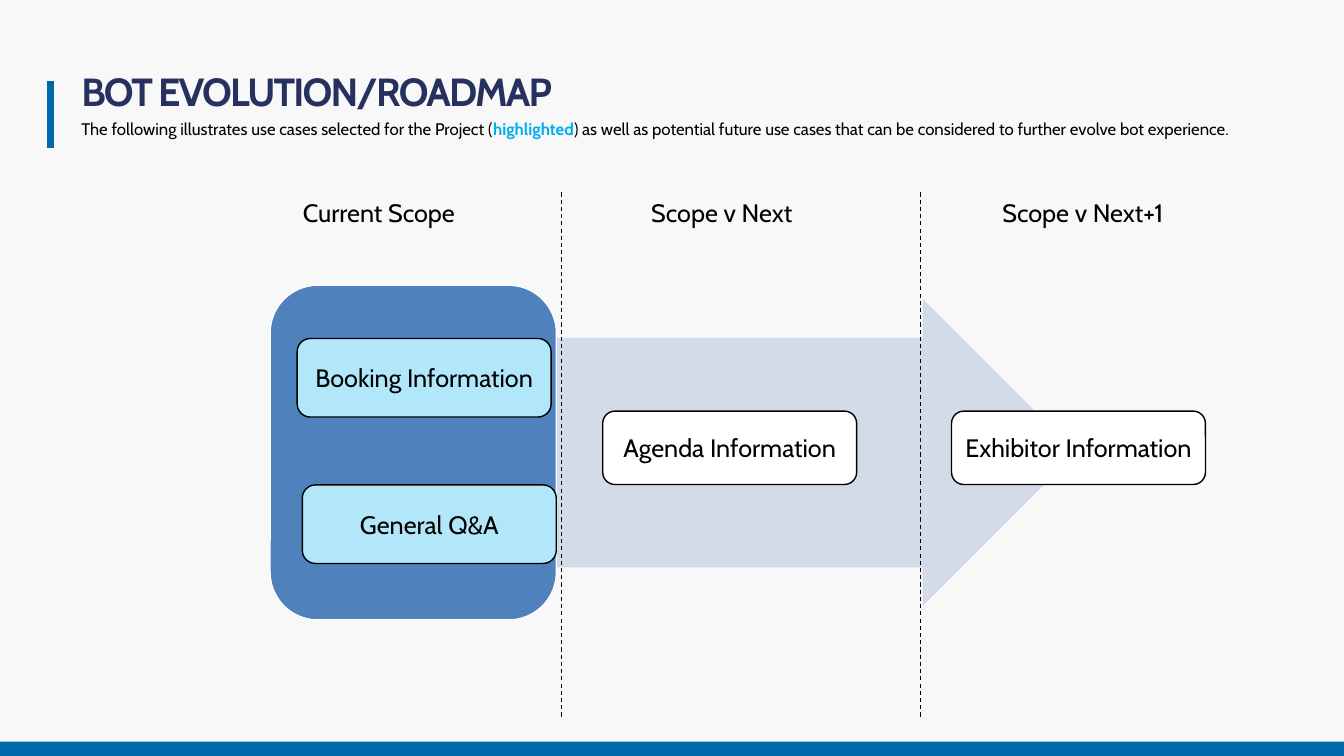
from dataclasses import dataclass

from lxml import etree
from pptx import Presentation
from pptx import util as u
from pptx.dml.color import RGBColor
from pptx.enum import dml, shapes, text
from pptx.oxml import ns


@dataclass(frozen=True)
class Theme:
    font: str = "Cabin"
    background: str = "F8F8F8"
    brand: str = "0069AA"
    title: str = "273160"
    ink: str = "000000"
    highlight: str = "00AEEF"
    arrow: str = "D0D8E8"
    panel: str = "4F81BD"
    selected: str = "B2E7FA"
    white: str = "FFFFFF"
    title_size: float = 28
    label_size: float = 18
    body_size: float = 12


@dataclass(frozen=True)
class Box:
    left: float
    top: float
    width: float
    height: float

    def inner(self, left, top, width, height):
        return Box(self.left + left, self.top + top, width, height)

    def lengths(self):
        return [u.Cm(value) for value in (self.left, self.top, self.width, self.height)]


THEME = Theme()


def rgb(color):
    return RGBColor.from_string(color)


def add_run(paragraph, words, size, color=THEME.ink, bold=False):
    run = paragraph.add_run()
    run.text = words
    run.font.name = THEME.font
    run.font.size = u.Pt(size)
    run.font.bold = bold
    run.font.color.rgb = rgb(color)
    return run


def add_text(slide, box, wrap=True):
    shape = slide.shapes.add_textbox(*box.lengths())
    shape.text_frame.word_wrap = wrap
    return shape.text_frame.paragraphs[0]


def add_block(slide, kind, box, fill, line=None, width=1):
    shape = slide.shapes.add_shape(kind, *box.lengths())
    shape.shadow.inherit = False
    shape.fill.solid()
    shape.fill.fore_color.rgb = rgb(fill)
    if line:
        shape.line.color.rgb = rgb(line)
        shape.line.width = u.Pt(width)
    else:
        shape.line.fill.background()
    return shape


def add_rule(slide, left, top, height, color, width):
    rule = slide.shapes.add_connector(
        shapes.MSO_CONNECTOR.STRAIGHT,
        u.Cm(left), u.Cm(top), u.Cm(left), u.Cm(top + height),
    )
    rule.line.color.rgb = rgb(color)
    rule.line.width = u.Pt(width)
    etree.SubElement(rule._element.spPr, ns.qn("a:effectLst"))
    return rule


def make_translucent(shape, percent):
    for color in shape._element.spPr.iter(ns.qn("a:srgbClr")):
        etree.SubElement(color, ns.qn("a:alpha"), val=str(percent * 1000))


def add_card(slide, box, words, fill):
    card = add_block(slide, shapes.MSO_SHAPE.ROUNDED_RECTANGLE, box, fill, THEME.ink)
    frame = card.text_frame
    frame.word_wrap = True
    frame.margin_left = frame.margin_right = u.Cm(0.1)
    frame.vertical_anchor = text.MSO_ANCHOR.MIDDLE
    paragraph = frame.paragraphs[0]
    paragraph.alignment = text.PP_ALIGN.CENTER
    add_run(paragraph, words, THEME.label_size)


def add_header(slide, box):
    title = add_text(slide, box.inner(0.53, 0, 13.51, 1.19))
    title.line_spacing = u.Pt(26)
    run = add_run(title, "BOT EVOLUTION/ROADMAP", THEME.title_size, THEME.title, True)
    run._r.get_or_add_rPr().set("spc", "-130")

    add_rule(slide, box.left, box.top + 0.18, 1.7, THEME.brand, 4.5)

    summary = add_text(slide, box.inner(0.53, 1.02, box.width - 0.53, 1.73))
    add_run(summary, "The following illustrates use cases selected for the Project (", THEME.body_size)
    add_run(summary, "highlighted", THEME.body_size, THEME.highlight, True)
    add_run(
        summary,
        ") as well as potential future use cases that can be considered to further evolve bot experience.",
        THEME.body_size,
    )


def add_roadmap(slide, box):
    arrow = add_block(
        slide, shapes.MSO_SHAPE.RIGHT_ARROW, box.inner(7.21, 2.72, 13.08, 7.67),
        THEME.arrow, THEME.arrow, 0.85,
    )
    arrow.adjustments[0] = 0.75
    arrow.adjustments[1] = 0.5
    make_translucent(arrow, 90)
    add_block(
        slide, shapes.MSO_SHAPE.ROUNDED_RECTANGLE, box.inner(0, 2.34, 7.21, 8.43),
        THEME.panel, THEME.white, 0.85,
    )

    for offset in (7.34, 16.38):
        divider = add_rule(slide, box.left + offset, box.top, box.height, THEME.ink, 0.75)
        divider.line.dash_style = dml.MSO_LINE.DASH

    use_cases = (
        ("General Q&A", 0.81, 7.37, 1.98, THEME.selected),
        ("Booking Information", 0.68, 3.68, 1.98, THEME.selected),
        ("Agenda Information", 8.38, 5.51, 1.85, THEME.white),
        ("Exhibitor Information", 17.17, 5.51, 1.85, THEME.white),
    )
    for words, left, top, height, fill in use_cases:
        add_card(slide, box.inner(left, top, 6.4, height), words, fill)

    stages = (
        ("Current Scope", 0.48, 4.52),
        ("Scope v Next", 9.27, 4.22),
        ("Scope v Next+1", 17.98, 5),
    )
    for words, left, width in stages:
        paragraph = add_text(slide, box.inner(left, 0, width, 1.02), wrap=False)
        paragraph.alignment = text.PP_ALIGN.CENTER
        add_run(paragraph, words, THEME.label_size)


def add_footer(slide, box):
    add_block(slide, shapes.MSO_SHAPE.RECTANGLE, box, THEME.brand)


def main():
    presentation = Presentation()
    presentation.slide_width = u.Cm(33.87)
    presentation.slide_height = u.Cm(19.05)
    slide = presentation.slides.add_slide(presentation.slide_layouts[6])
    slide.background.fill.solid()
    slide.background.fill.fore_color.rgb = rgb(THEME.background)
    add_footer(slide, Box(0, 18.69, 33.87, 0.36))
    add_header(slide, Box(1.27, 1.85, 30.96, 2.75))
    add_roadmap(slide, Box(6.81, 4.85, 23.57, 13.23))
    presentation.save("out.pptx")


if __name__ == "__main__":
    main()
